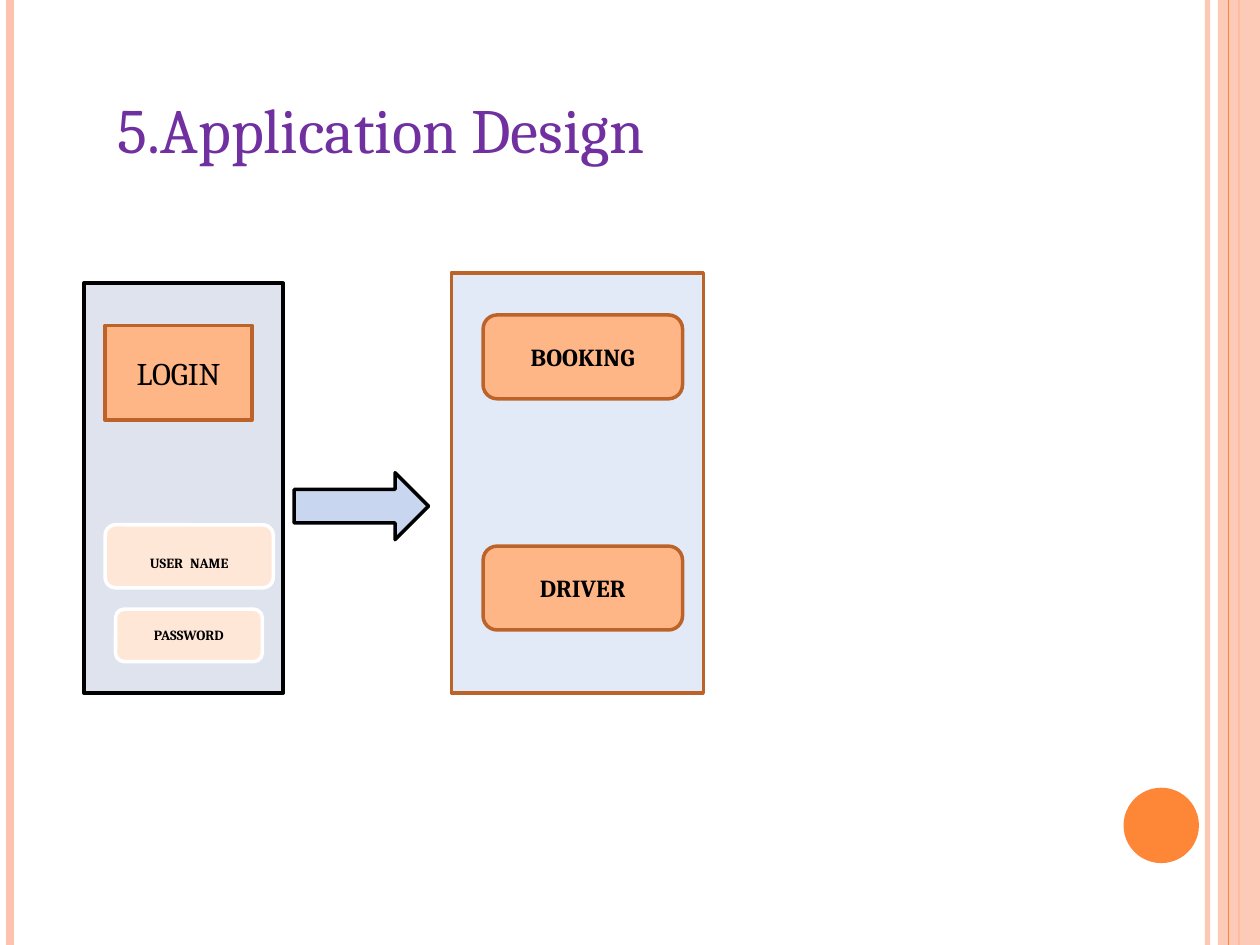
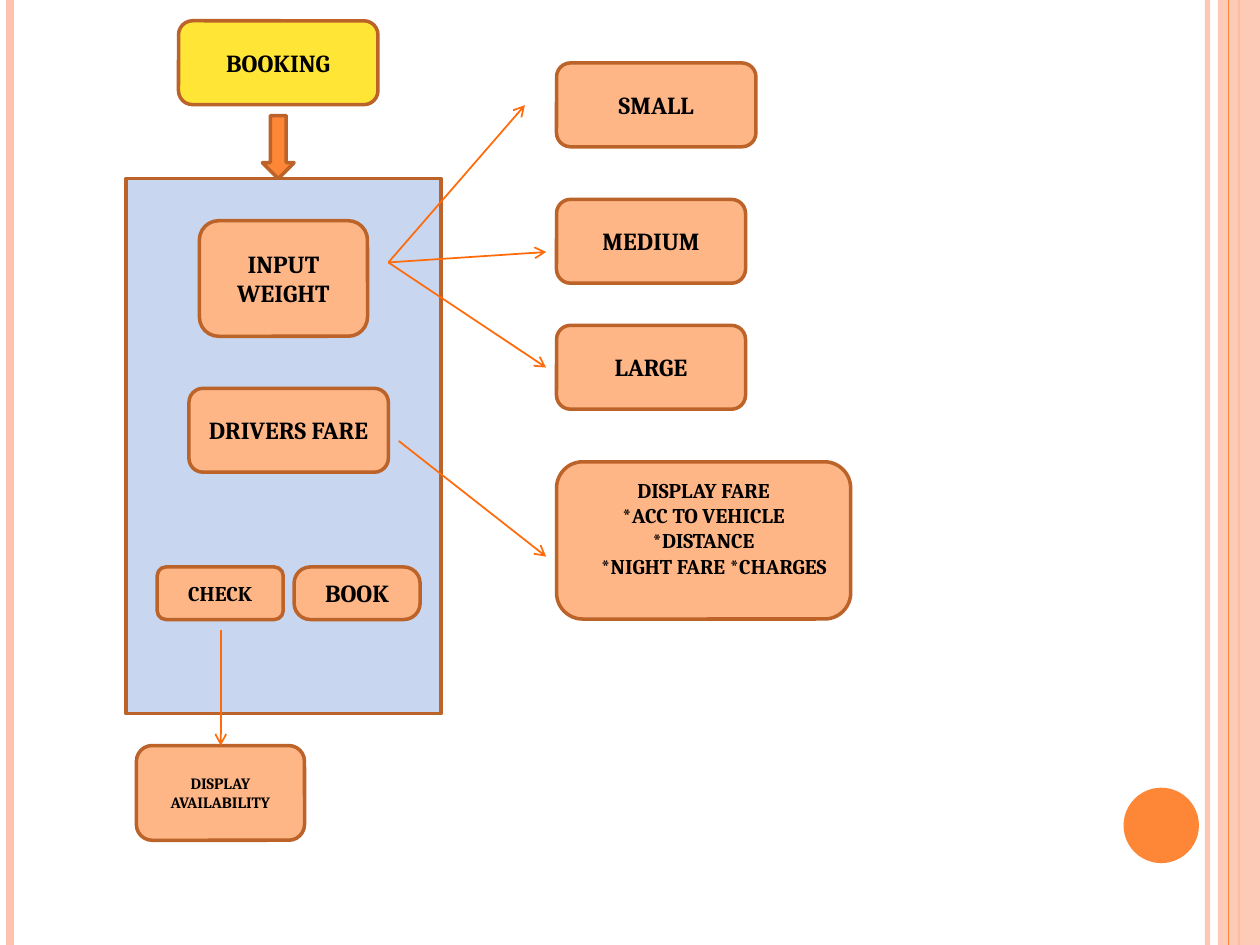
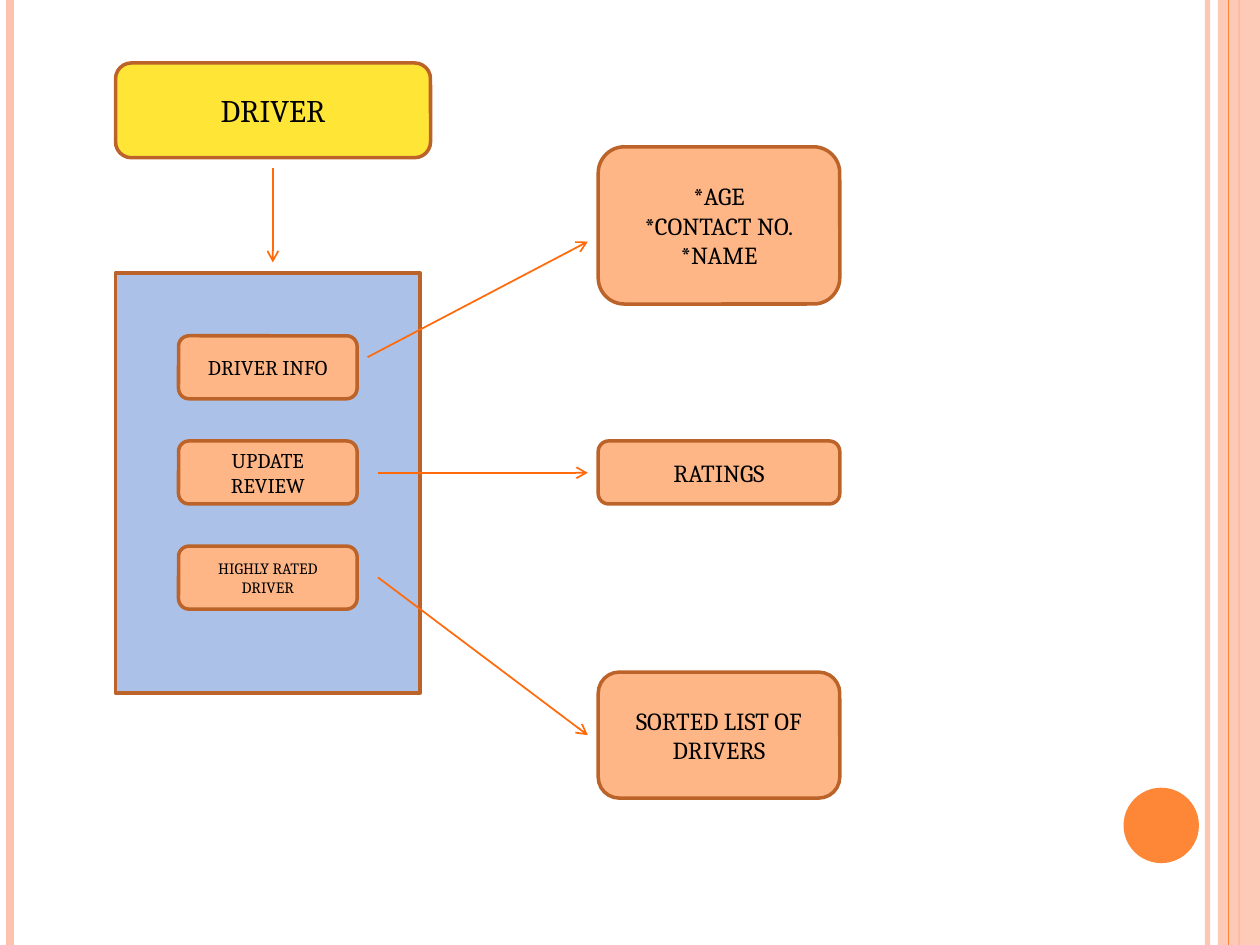
from dataclasses import dataclass

from lxml import etree
from pptx import Presentation
from pptx.dml.color import RGBColor
from pptx.enum.shapes import MSO_CONNECTOR, MSO_SHAPE
from pptx.enum.text import MSO_ANCHOR, MSO_AUTO_SIZE, PP_ALIGN
from pptx.oxml.ns import qn
from pptx.util import Cm, Pt

RECT = MSO_SHAPE.RECTANGLE
ROUND = MSO_SHAPE.ROUNDED_RECTANGLE
OVAL = MSO_SHAPE.OVAL
RIGHT_ARROW = MSO_SHAPE.RIGHT_ARROW
DOWN_ARROW = MSO_SHAPE.DOWN_ARROW
STRAIGHT = MSO_CONNECTOR.STRAIGHT
CENTER, LEFT = PP_ALIGN.CENTER, PP_ALIGN.LEFT
TOP, MIDDLE = MSO_ANCHOR.TOP, MSO_ANCHOR.MIDDLE
NO_FIT = MSO_AUTO_SIZE.NONE

BLACK = RGBColor(0x00, 0x00, 0x00)
WHITE = RGBColor(0xFF, 0xFF, 0xFF)
PURPLE = RGBColor(0x70, 0x30, 0xA0)
ORANGE = RGBColor(0xFE, 0x86, 0x37)
BRIGHT_ORANGE = RGBColor(0xFF, 0x6B, 0x0A)
BROWN = RGBColor(0xBC, 0x63, 0x29)
PEACH = RGBColor(0xFE, 0xB6, 0x87)
PALE_PEACH = RGBColor(0xFF, 0xE7, 0xD7)
PINK = RGBColor(0xFE, 0xC3, 0xAE)
YELLOW = RGBColor(0xFF, 0xE6, 0x36)
GREY_BLUE = RGBColor(0xDF, 0xE3, 0xEE)
PALE_BLUE = RGBColor(0xE3, 0xEA, 0xF7)
LIGHT_BLUE = RGBColor(0xC8, 0xD6, 0xF0)
BLUE = RGBColor(0xAC, 0xC1, 0xE8)

FONT = "Cambria"
GRID = 2.54 / 12
BOX_FRAME = {"word_wrap": True, "vertical_anchor": MIDDLE}
TITLE_FRAME = {"word_wrap": True, "vertical_anchor": TOP, "auto_size": NO_FIT}


@dataclass(frozen=True)
class Box:
    at: tuple[float, float, float, float]
    lines: tuple[str, ...] = ()
    size: int = 14
    bold: bool = True
    fill: RGBColor = PEACH
    outline: RGBColor | None = BROWN
    kind: int = ROUND
    corner: float | None = None
    alpha: int = 100
    space_size: int = 0
    last_indent: float = 0
    bottom: float = 0.13


@dataclass(frozen=True)
class Line:
    start: tuple[float, float]
    end: tuple[float, float]
    color: RGBColor = BRIGHT_ORANGE
    width: float = 1
    alpha: int = 100
    arrow: bool = True


def unit(n: float) -> int:
    return Cm(round(n * GRID, 2))


def apply(target, values: dict) -> None:
    for name, value in values.items():
        setattr(target, name, value)


def set_alpha(sp, percent: int) -> None:
    if percent < 100:
        for color in sp.element.iter(qn("a:srgbClr")):
            etree.SubElement(color, qn("a:alpha")).set("val", str(percent * 1000))


def add_run(p, text: str, size: int, color: RGBColor = BLACK, bold: bool = False) -> None:
    r = p.add_run()
    r.text = text
    apply(r.font, {"name": FONT, "size": Pt(size), "bold": bold})
    r.font.color.rgb = color


def add_box(slide, box: Box):
    sp = slide.shapes.add_shape(box.kind, *map(unit, box.at))
    sp.shadow.inherit = False
    sp.fill.solid()
    sp.fill.fore_color.rgb = box.fill
    if box.outline is None:
        sp.line.fill.background()
    else:
        sp.line.color.rgb = box.outline
        sp.line.width = Pt(2)
    if box.corner is not None:
        sp.adjustments[0] = box.corner
    set_alpha(sp, box.alpha)
    tf = sp.text_frame
    apply(tf, {**BOX_FRAME, "margin_bottom": Cm(box.bottom)})
    for i, line in enumerate(box.lines):
        p = tf.add_paragraph() if i else tf.paragraphs[0]
        p.alignment = CENTER
        for part in line.partition(" ") if box.space_size else (line,):
            add_run(p, part, box.space_size if part == " " else box.size, bold=box.bold)
    if box.last_indent:
        p._p.get_or_add_pPr().set("marL", str(Cm(box.last_indent)))
    return sp


def add_line(slide, line: Line):
    sp = slide.shapes.add_connector(STRAIGHT, *map(unit, line.start + line.end))
    sp.line.color.rgb = line.color
    sp.line.width = Pt(line.width)
    set_alpha(sp, line.alpha)
    props = sp.element.spPr
    if line.arrow:
        etree.SubElement(props.find(qn("a:ln")), qn("a:tailEnd")).set("type", "arrow")
    etree.SubElement(props, qn("a:effectLst"))
    return sp


def add_title(slide, text: str) -> None:
    sp = slide.shapes.title
    apply(sp, dict(zip(("left", "top", "width", "height"), map(unit, (10, 8, 86, 8.5)))))
    tf = sp.text_frame
    apply(tf, TITLE_FRAME)
    p = tf.paragraphs[0]
    p.alignment = LEFT
    add_run(p, text, 36, PURPLE)


def edge(x: float, color: RGBColor, width: float, alpha: int = 100) -> Line:
    return Line((x, 0), (x, 90), color, width, alpha, arrow=False)


def decorate_master(prs, slide) -> None:
    decor = (
        edge(115, PINK, 3, 93),
        edge(1, PINK, 4.5),
        edge(118, ORANGE, 1.5),
        Box((116, 0, 4, 90), fill=PINK, outline=None, kind=RECT, alpha=87),
        edge(117, ORANGE, 0.75),
        Box((107, 75, 7.2, 7.2), fill=ORANGE, outline=None, kind=OVAL),
    )
    for i, item in enumerate(decor, start=101):
        sp = add_line(slide, item) if isinstance(item, Line) else add_box(slide, item)
        sp.element.xpath(".//p:cNvPr")[0].set("id", str(i))
        prs.slide_master.shapes.element.append(sp.element)


def draw(slide, boxes: tuple[Box, ...], lines: tuple[Line, ...] = ()) -> None:
    for box in boxes:
        add_box(slide, box)
    for line in lines:
        add_line(slide, line)


DESIGN_BOXES = (
    Box((8, 27, 19, 39), fill=GREY_BLUE, outline=BLACK, kind=RECT),
    Box((11, 58, 14, 5), ("PASSWORD",), 8, fill=PALE_PEACH, outline=WHITE),
    Box((10, 50, 16, 6), ("USER NAME",), 8, fill=PALE_PEACH, outline=WHITE, space_size=18),
    Box((28, 45, 12.8, 6.4), fill=LIGHT_BLUE, outline=BLACK, kind=RIGHT_ARROW),
    Box((43, 26, 24, 40), fill=PALE_BLUE, kind=RECT),
    Box((46, 30, 19, 8), ("BOOKING",)),
    Box((46, 52, 19, 8), ("DRIVER",)),
    Box((10, 31, 14, 9), ("LOGIN",), 18, bold=False, kind=RECT),
)

FARE_LINES = ("DISPLAY FARE", "*ACC TO VEHICLE", "*DISTANCE", "*NIGHT FARE *CHARGES")
BOOKING_BOXES = (
    Box((17, 2, 19, 8), ("BOOKING",), fill=YELLOW),
    Box((25, 11, 3, 6), fill=ORANGE, kind=DOWN_ARROW),
    Box((12, 17, 30, 51), fill=LIGHT_BLUE, kind=RECT),
    Box((19, 21, 16, 11), ("INPUT", "WEIGHT")),
    Box((18, 37, 19, 8), ("DRIVERS FARE",)),
    Box((53, 6, 19, 8), ("SMALL",)),
    Box((53, 19, 18, 8), ("MEDIUM",)),
    Box((53, 31, 18, 8), ("LARGE",)),
    Box((53, 44, 28, 15), FARE_LINES, 12, last_indent=0.42, bottom=0.63),
    Box((28, 54, 12, 5), ("BOOK",), corner=0.31),
    Box((15, 54, 12, 5), ("CHECK",), 12),
    Box((13, 71, 16, 9), ("DISPLAY AVAILABILITY",), 9),
)
WEIGHT_OUT = (37, 25)
BOOKING_LINES = (
    *(Line(WEIGHT_OUT, end) for end in ((52, 24), (50, 10), (52, 35))),
    Line((38, 42), (52, 53)),
    Line((21, 60), (21, 71)),
)

DRIVER_STEPS = (
    (("DRIVER INFO",), 12),
    (("UPDATE", "REVIEW"), 12),
    (("HIGHLY RATED DRIVER",), 9),
)
DRIVER_RESULTS = (
    (14, 15, ("*AGE", "*CONTACT NO.", "*NAME")),
    (42, 6, ("RATINGS",)),
    (64, 12, ("SORTED LIST OF DRIVERS",)),
)
DRIVER_BOXES = (
    Box((11, 6, 30, 9), ("DRIVER",), 18, bold=False, fill=YELLOW),
    Box((11, 26, 29, 40), fill=BLUE, kind=RECT),
    *(Box((17, 32 + 10 * i, 17, 6), lines, size, bold=False)
      for i, (lines, size) in enumerate(DRIVER_STEPS)),
    *(Box((57, top, 23, height), lines, bold=False) for top, height, lines in DRIVER_RESULTS),
)
DRIVER_LINES = (
    Line((26, 16), (26, 25)),
    Line((35, 34), (56, 23)),
    Line((36, 55), (56, 70)),
    Line((36, 45), (56, 45)),
)

prs = Presentation()
prs.slide_width, prs.slide_height = Cm(25.4), Cm(19.05)
title_only, blank = prs.slide_layouts[5], prs.slide_layouts[6]

design = prs.slides.add_slide(title_only)
decorate_master(prs, design)
draw(design, DESIGN_BOXES)
add_title(design, "5.Application Design")

draw(prs.slides.add_slide(blank), BOOKING_BOXES, BOOKING_LINES)
draw(prs.slides.add_slide(blank), DRIVER_BOXES, DRIVER_LINES)

prs.save("out.pptx")
